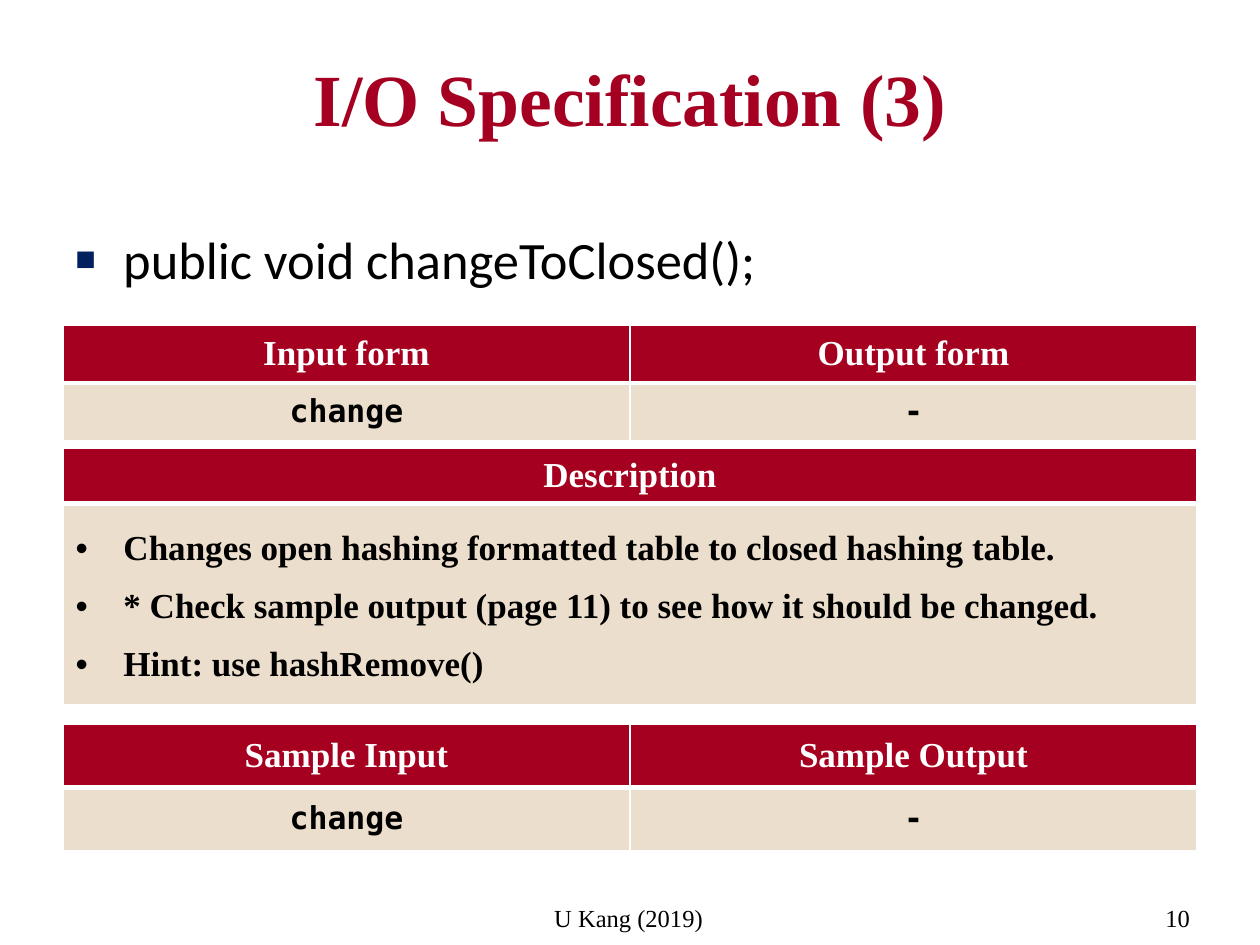
import dataclasses
import pptx
import pptx.util
import pptx.dml.color
import pptx.enum.text
import pptx.oxml
import pptx.oxml.ns
import lxml.etree

Inches, Pt = pptx.util.Inches, pptx.util.Pt
RGB = pptx.dml.color.RGBColor.from_string
ALIGN = pptx.enum.text.PP_ALIGN
ANCHOR = pptx.enum.text.MSO_ANCHOR
qn = pptx.oxml.ns.qn


@dataclasses.dataclass(frozen=True)
class Theme:
    """Colours, fonts and type sizes of the slide."""
    title: str = "A50021"
    header: str = "A50020"
    cell: str = "ECDECC"
    white: str = "FFFFFF"
    black: str = "000000"
    bullet: str = "002060"
    serif: str = "Times New Roman"
    sans: str = "Calibri"
    mono: str = "DejaVu Sans Mono"
    title_size: int = 42
    body_size: int = 30
    table_size: int = 20
    code_size: int = 18
    footer_size: int = 14


T = Theme()


def style(p, font, size, color, bold=False, align=ALIGN.LEFT):
    """Format a paragraph and all its runs."""
    p.alignment = align
    for r in p.runs:
        r.font.name, r.font.size, r.font.bold = font, Pt(size), bold
        r.font.color.rgb = RGB(color)


def add_bullet(p, char, color=None, percent=None):
    """Give a paragraph a hanging bullet."""
    pPr = p._p.get_or_add_pPr()
    pPr.set("marL", str(Inches(0.38)))
    pPr.set("indent", str(-Inches(0.38)))
    if color:
        bu = lxml.etree.SubElement(pPr, qn("a:buClr"))
        lxml.etree.SubElement(bu, qn("a:srgbClr"), val=color)
    if percent:
        lxml.etree.SubElement(pPr, qn("a:buSzPct"), val=str(percent * 1000))
    lxml.etree.SubElement(pPr, qn("a:buFont"), typeface="Arial")
    lxml.etree.SubElement(pPr, qn("a:buChar"), char=char)


def add_text(s, box, text, wrap=True):
    """Add a text box and return its text frame."""
    tf = s.shapes.add_textbox(*map(Inches, box)).text_frame
    tf.word_wrap = wrap
    tf.text = text
    return tf


def add_title(s, box, text):
    """Add the centred slide title."""
    tf = add_text(s, box, text)
    tf.margin_top = Inches(0.12)
    style(tf.paragraphs[0], T.serif, T.title_size, T.title, True, ALIGN.CENTER)


def add_body(s, box, text):
    """Add the bulleted method signature."""
    p = add_text(s, box, text).paragraphs[0]
    style(p, T.sans, T.body_size, T.black)
    p.space_before = Pt(6)
    add_bullet(p, "■", T.bullet, 65)


def add_footer(s, box, text):
    """Add one piece of footer text."""
    p = add_text(s, box, text, wrap=False).paragraphs[0]
    style(p, T.serif, T.footer_size, T.black)


def paint_cell(cell, fill, bottom=1):
    """Fill a cell and draw its white borders."""
    tcPr = cell._tc.get_or_add_tcPr()
    for side in "LRTB":
        width = Pt(bottom if side == "B" else 1)
        ln = lxml.etree.SubElement(tcPr, qn("a:ln" + side), w=str(width))
        line_fill = lxml.etree.SubElement(ln, qn("a:solidFill"))
        lxml.etree.SubElement(line_fill, qn("a:srgbClr"), val=T.white)
    cell.fill.solid()
    cell.fill.fore_color.rgb = RGB(fill)


def add_spec_table(s, box, headers, row_heights):
    """Add a two-row table with its headers and return the lower cells."""
    table = s.shapes.add_table(2, len(headers), *map(Inches, box)).table
    for row, height in zip(table.rows, row_heights):
        row.height = Inches(height)
    for i, header in enumerate(headers):
        head, lower = table.cell(0, i), table.cell(1, i)
        paint_cell(head, T.header, bottom=3)
        paint_cell(lower, T.cell)
        head.text_frame.text = header
        head.vertical_anchor = ANCHOR.MIDDLE
        style(head.text_frame.paragraphs[0], T.serif, T.table_size, T.white, True, ALIGN.CENTER)
    return [table.cell(1, i) for i in range(len(headers))]


def add_code_table(s, box, headers, values):
    """Add a table of centred code values."""
    cells = add_spec_table(s, box, headers, [box[3] / 2] * 2)
    for cell, value in zip(cells, values):
        cell.text_frame.text = value
        cell.vertical_anchor = ANCHOR.MIDDLE
        style(cell.text_frame.paragraphs[0], T.mono, T.code_size, T.black, True, ALIGN.CENTER)


def add_description(s, box, header, lines):
    """Add the table that holds the bulleted description."""
    cell = add_spec_table(s, box, [header], [0.37, box[3] - 0.37])[0]
    cell.text_frame.text = "\n".join(lines)
    for p in cell.text_frame.paragraphs:
        style(p, T.serif, T.table_size, T.black, True)
        p.line_spacing = 1.5
        add_bullet(p, "•")


def build_slide(prs):
    """Build the specification slide."""
    s = prs.slides.add_slide(prs.slide_layouts[6])
    left, width = 0.5, 9
    add_footer(s, (4.3, 7.12, 1.39, 0.34), "U Kang (2019)")
    add_footer(s, (9.15, 7.12, 0.43, 0.34), "10")
    add_title(s, (left, 0.3, width, 1.25), "I/O Specification (3)")
    add_body(s, (left, 1.75, width, 5.25), "public void changeToClosed();")
    values = ["change", "-"]
    add_code_table(s, (left, 2.58, width, 0.92), ["Input form", "Output form"], values)
    add_code_table(s, (left, 5.75, width, 1), ["Sample Input", "Sample Output"], values)
    add_description(s, (left, 3.56, width, 1.69), "Description", [
        "Changes open hashing formatted table to closed hashing table.",
        "* Check sample output (page 11) to see how it should be changed.",
        "Hint: use hashRemove()",
    ])


prs = pptx.Presentation()
prs.slide_width, prs.slide_height = Inches(10), Inches(7.5)
build_slide(prs)
prs.save("out.pptx")
